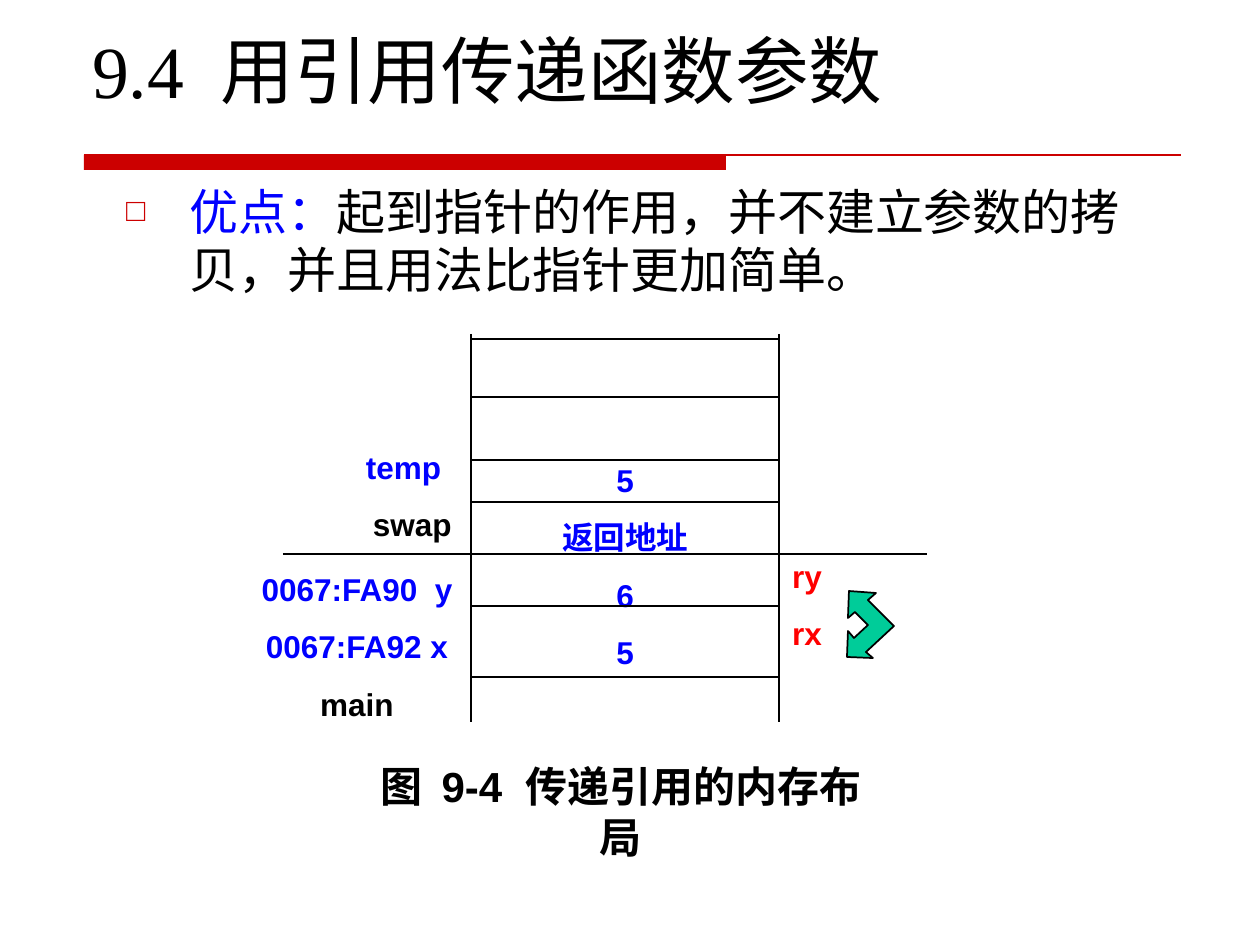
import dataclasses

import lxml.etree
import pptx
import pptx.dml.color
import pptx.enum.shapes
import pptx.enum.text
import pptx.oxml.ns
import pptx.util

SCALE = pptx.util.Inches(1) / 126
ALIGN = pptx.enum.text.PP_ALIGN
ANCHOR = pptx.enum.text.MSO_ANCHOR


@dataclasses.dataclass(frozen=True)
class Theme:
    black: str = "000000"
    blue: str = "0000FF"
    red: str = "FF0000"
    rule: str = "CC0000"
    arrow: str = "00CC99"
    title_font: str = "Times New Roman"
    text_font: str = "Arial"
    title_size: int = 42
    body_size: int = 28
    caption_size: int = 24
    label_size: int = 18
    label_gap: float = 11.2
    line_width: int = 1


THEME = Theme()


def px(length):
    return round(length * SCALE)


def rgb(color):
    return pptx.dml.color.RGBColor.from_string(color)


def place(shape, left, top, width, height):
    shape.left, shape.top = px(left), px(top)
    shape.width, shape.height = px(width), px(height)


def style_font(font, name, size, color, bold=False):
    font.name = name
    font.size = pptx.util.Pt(size)
    font.bold = bold
    font.color.rgb = rgb(color)


def set_frame(frame, anchor=ANCHOR.TOP, side=13, right=13):
    frame.word_wrap = True
    frame.auto_size = pptx.enum.text.MSO_AUTO_SIZE.NONE
    frame.vertical_anchor = anchor
    frame.margin_left, frame.margin_right = px(side), px(right)
    frame.margin_top = frame.margin_bottom = px(6)


def fill_lines(frame, lines, align):
    for index, (text, color) in enumerate(lines):
        paragraph = frame.add_paragraph() if index else frame.paragraphs[0]
        paragraph.text = text
        paragraph.alignment = align
        paragraph.space_before = pptx.util.Pt(THEME.label_gap)
        style_font(paragraph.font, THEME.text_font, THEME.label_size, color, True)


def add_labels(slide, box, lines, align, side=13):
    textbox = slide.shapes.add_textbox(*map(px, box))
    set_frame(textbox.text_frame, side=side, right=0)
    fill_lines(textbox.text_frame, lines, align)
    return textbox


def add_line(slide, start, end, color=THEME.black):
    line = slide.shapes.add_connector(
        pptx.enum.shapes.MSO_CONNECTOR.STRAIGHT, *map(px, start + end))
    line.line.color.rgb = rgb(color)
    line.line.width = pptx.util.Pt(THEME.line_width)
    lxml.etree.SubElement(line._element.spPr, pptx.oxml.ns.qn("a:effectLst"))


def add_header(slide, left, top, width, height):
    title = slide.shapes.title
    place(title, left - 5, top, width + 5, height)
    set_frame(title.text_frame, ANCHOR.BOTTOM)
    paragraph = title.text_frame.paragraphs[0]
    paragraph.text = "9.4  用引用传递函数参数"
    paragraph.alignment = ALIGN.LEFT
    style_font(paragraph.font, THEME.title_font, THEME.title_size, THEME.black)

    rule_top = top + height + 36
    bar = slide.shapes.add_shape(
        pptx.enum.shapes.MSO_SHAPE.RECTANGLE, *map(px, (left, rule_top, 642, 15)))
    bar.shadow.inherit = False
    bar.fill.solid()
    bar.fill.fore_color.rgb = rgb(THEME.rule)
    bar.line.fill.background()
    add_line(slide, (left, rule_top), (left + width, rule_top), THEME.rule)


def add_body(slide, left, top, width, height):
    body = slide.placeholders[1]
    place(body, left, top, width, height)
    set_frame(body.text_frame)
    paragraph = body.text_frame.paragraphs[0]
    paragraph.alignment = ALIGN.LEFT
    paragraph.space_before = pptx.util.Pt(3.5)
    for text, color in (
        ("优点：", THEME.blue),
        ("起到指针的作用，并不建立参数的拷贝，并且用法比指针更加简单。", THEME.black),
    ):
        run = paragraph.add_run()
        run.text = text
        style_font(run.font, THEME.text_font, THEME.body_size, color)
    properties = paragraph._p.get_or_add_pPr()
    properties.set("marL", str(px(64)))
    properties.set("indent", str(px(-64)))
    qn = pptx.oxml.ns.qn
    bullet_color = lxml.etree.SubElement(properties, qn("a:buClr"))
    lxml.etree.SubElement(bullet_color, qn("a:srgbClr"), val=THEME.rule)
    lxml.etree.SubElement(properties, qn("a:buSzPct"), val="65000")
    lxml.etree.SubElement(properties, qn("a:buChar"), char="□")


def add_swap_arrow(slide, left, top):
    points = [(1, 66), (2, 40), (8, 47), (22, 34), (9, 21), (2, 27),
              (3, 0), (30, 2), (22, 9), (48, 35), (20, 61), (27, 67)]
    outline = [(px(left + x), px(top + y)) for x, y in points]
    builder = slide.shapes.build_freeform(*outline[0])
    builder.add_line_segments(outline[1:], close=True)
    arrow = builder.convert_to_shape()
    arrow.shadow.inherit = False
    arrow.fill.solid()
    arrow.fill.fore_color.rgb = rgb(THEME.arrow)
    arrow.line.color.rgb = rgb(THEME.black)
    arrow.line.width = pptx.util.Pt(THEME.line_width)


def add_memory_diagram(slide, left, top, width, height):
    right = left + width
    for x in (left, right):
        add_line(slide, (x, top), (x, top + height))

    stack = slide.shapes.add_shape(
        pptx.enum.shapes.MSO_SHAPE.RECTANGLE, *map(px, (left, top + 5, width, 338)))
    stack.shadow.inherit = False
    stack.fill.background()
    stack.line.color.rgb = rgb(THEME.black)
    stack.line.width = pptx.util.Pt(THEME.line_width)
    set_frame(stack.text_frame, ANCHOR.BOTTOM)
    values = [(text, THEME.blue) for text in ("5", "返回地址", "6", "5")]
    fill_lines(stack.text_frame, values, ALIGN.CENTER)

    for offset in (63, 126, 168, 272):
        add_line(slide, (left, top + offset), (right, top + offset))
    add_line(slide, (left - 188, top + 220), (right + 148, top + 220))

    swap_labels = add_labels(
        slide, (left - 118, top + 108, 102, 108),
        [("temp", THEME.blue), ("swap", THEME.black)], ALIGN.LEFT)
    swap_labels.text_frame.paragraphs[1]._p.get_or_add_pPr().set("marL", str(px(7)))
    add_labels(
        slide, (left - 228, top + 230, 228, 166),
        [("0067:FA90  y", THEME.blue), ("0067:FA92 x", THEME.blue),
         ("main", THEME.black)], ALIGN.CENTER, side=0)
    add_labels(
        slide, (right, top + 217, 59, 108),
        [("ry", THEME.red), ("rx", THEME.red)], ALIGN.LEFT)
    add_swap_arrow(slide, right + 67, top + 257)


def add_caption(slide, left, top, width, height):
    caption = slide.shapes.add_textbox(*map(px, (left, top, width, height)))
    set_frame(caption.text_frame)
    paragraph = caption.text_frame.paragraphs[0]
    paragraph.text = "图  9-4  传递引用的内存布局"
    paragraph.alignment = ALIGN.CENTER
    paragraph.space_before = pptx.util.Pt(15)
    style_font(paragraph.font, THEME.text_font, THEME.caption_size, THEME.black, True)


def main():
    presentation = pptx.Presentation()
    presentation.slide_width, presentation.slide_height = px(1260), px(945)
    slide = presentation.slides.add_slide(presentation.slide_layouts[1])
    add_header(slide, 84, 45, 1097, 74)
    add_body(slide, 113, 175, 1062, 644)
    add_caption(slide, 348, 755, 546, 113)
    add_memory_diagram(slide, 471, 334, 308, 388)
    presentation.save("out.pptx")


if __name__ == "__main__":
    main()
